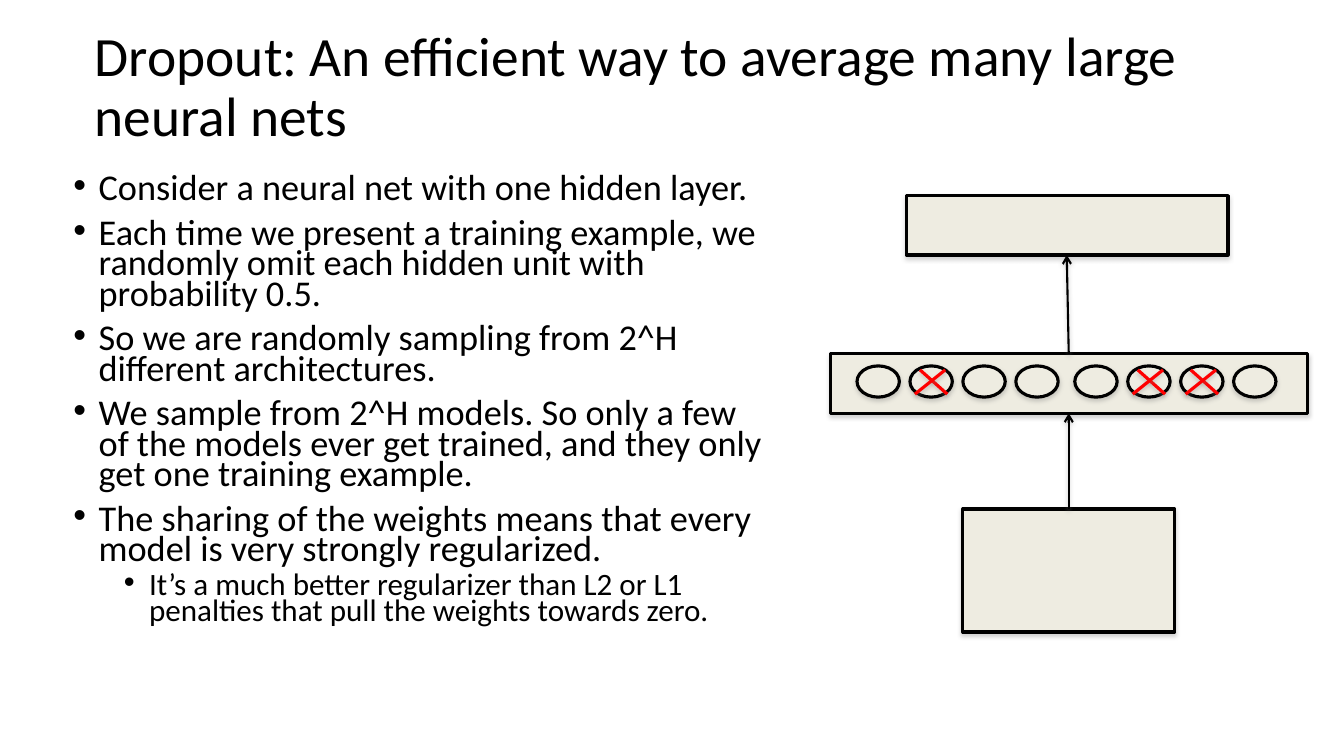
from lxml.etree import SubElement
from pptx import Presentation
from pptx.dml.color import RGBColor
from pptx.enum.shapes import MSO_CONNECTOR, MSO_SHAPE
from pptx.enum.text import MSO_ANCHOR, MSO_AUTO_SIZE, PP_ALIGN
from pptx.oxml.ns import qn
from pptx.util import Inches, Pt

BLACK = RGBColor(0x00, 0x00, 0x00)
RED = RGBColor(0xFF, 0x00, 0x00)
CREAM = RGBColor(0xEE, 0xEC, 0xE1)
FONT = "Calibri"

TITLE = "Dropout: An efficient way to average many large neural nets"
POINTS = [
    (0, "Consider a neural net with one hidden layer."),
    (0, "Each time we present a training example, we randomly omit each hidden unit with probability 0.5."),
    (0, "So we are randomly sampling from 2^H different architectures."),
    (0, "We sample from 2^H models. So only a few of the models ever get trained, and they only get one training example."),
    (0, "The sharing of the weights means that every model is very strongly regularized."),
    (1, "It’s a much better regularizer than L2 or L1 penalties that pull the weights towards zero."),
]
LEVELS = [
    {"size": 25.9, "before": 10, "margin": 0.25},
    {"size": 22.2, "before": 5, "margin": 0.75},
]
HANGING = 0.25

LAYERS = [
    (9.55, 5.05, 2.1, 1.22),
    (8.24, 3.51, 4.73, 0.59),
    (8.99, 1.94, 3.19, 0.59),
]
ARROWS = [(10.6, 5.05, 10.6, 4.1), (10.6, 3.51, 10.58, 2.53)]

UNIT_GROUPS = [8.5, 10.66]
UNITS_PER_GROUP = 4
UNIT_STEP = 0.525
UNIT_TOP, UNIT_WIDTH, UNIT_HEIGHT = 3.63, 0.42, 0.31
DROPPED = {1, 5, 6}
CROSS = [(0.1, 0.04, 0.37, 0.28), (0.05, 0.28, 0.35, 0.04)]


def add_shadow(part, opacity, distance):
    """Give a shape or connector a soft grey shadow straight below it."""
    properties = part._element.spPr
    effects = properties.find(qn("a:effectLst"))
    if effects is None:
        effects = SubElement(properties, qn("a:effectLst"))
    shadow = SubElement(effects, qn("a:outerShdw"), blurRad=str(Pt(3.1)),
                        dist=str(Pt(distance)), dir="5400000", rotWithShape="0")
    grey = SubElement(shadow, qn("a:srgbClr"), val="808080")
    SubElement(grey, qn("a:alpha"), val=str(opacity * 1000))


def add_block(slide, kind, left, top, width, height):
    """Draw a cream layer or unit with a black outline."""
    block = slide.shapes.add_shape(
        kind, Inches(left), Inches(top), Inches(width), Inches(height))
    block.fill.solid()
    block.fill.fore_color.rgb = CREAM
    block.line.color.rgb = BLACK
    block.line.width = Pt(2.25)
    block.shadow.inherit = False
    add_shadow(block, 35, 1.8)


def add_stroke(slide, ends, color, width, arrow=False):
    """Draw a straight line, with an open arrowhead if asked."""
    stroke = slide.shapes.add_connector(
        MSO_CONNECTOR.STRAIGHT, *(Inches(value) for value in ends))
    stroke.line.color.rgb = color
    stroke.line.width = Pt(width)
    if arrow:
        SubElement(stroke.line._get_or_add_ln(), qn("a:tailEnd"), type="arrow")
    add_shadow(stroke, 38, 1.6)


def add_title(slide):
    """Place and format the title."""
    title = slide.shapes.title
    title.left, title.top = Inches(0.84), Inches(0.4)
    title.width, title.height = Inches(11.57), Inches(0.95)
    frame = title.text_frame
    frame.text = TITLE
    frame.auto_size = MSO_AUTO_SIZE.NONE
    frame.vertical_anchor = MSO_ANCHOR.MIDDLE
    heading = frame.paragraphs[0]
    heading.alignment = PP_ALIGN.LEFT
    heading.line_spacing = 0.9
    heading.font.name, heading.font.size = FONT, Pt(39.6)
    heading.font.color.rgb = BLACK


def add_points(slide):
    """Write the bulleted explanation."""
    frame = slide.shapes.add_textbox(
        Inches(0.63), Inches(1.7), Inches(7.05), Inches(4.95)).text_frame
    frame.word_wrap = True
    for index, (level, wording) in enumerate(POINTS):
        point = frame.add_paragraph() if index else frame.paragraphs[0]
        style = LEVELS[level]
        point.text = wording
        point.level = level
        point.line_spacing = 0.7
        point.space_before = Pt(style["before"])
        point.font.name, point.font.size = FONT, Pt(style["size"])
        point.font.color.rgb = BLACK
        properties = point._p.get_or_add_pPr()
        properties.set("marL", str(Inches(style["margin"])))
        properties.set("indent", str(-Inches(HANGING)))
        bullet_font = SubElement(properties, qn("a:buFont"), typeface="Arial")
        bullet = SubElement(properties, qn("a:buChar"), char="•")
        default_run = properties.find(qn("a:defRPr"))
        if default_run is not None:
            default_run.addprevious(bullet_font)
            default_run.addprevious(bullet)


def add_network(slide):
    """Draw the layers, the arrows and the hidden units with dropped ones crossed."""
    for layer in LAYERS:
        add_block(slide, MSO_SHAPE.RECTANGLE, *layer)
    for arrow in ARROWS:
        add_stroke(slide, arrow, BLACK, 1.5, arrow=True)
    unit_lefts = [start + step * UNIT_STEP
                  for start in UNIT_GROUPS for step in range(UNITS_PER_GROUP)]
    for index, left in enumerate(unit_lefts):
        add_block(slide, MSO_SHAPE.OVAL, left, UNIT_TOP, UNIT_WIDTH, UNIT_HEIGHT)
        if index in DROPPED:
            for x1, y1, x2, y2 in CROSS:
                ends = (left + x1, UNIT_TOP + y1, left + x2, UNIT_TOP + y2)
                add_stroke(slide, ends, RED, 2.25)


def main():
    """Build the dropout slide."""
    deck = Presentation()
    deck.slide_width, deck.slide_height = Inches(13.33), Inches(7.5)
    slide = deck.slides.add_slide(deck.slide_layouts[5])
    add_title(slide)
    add_points(slide)
    add_network(slide)
    deck.save("out.pptx")


if __name__ == "__main__":
    main()
